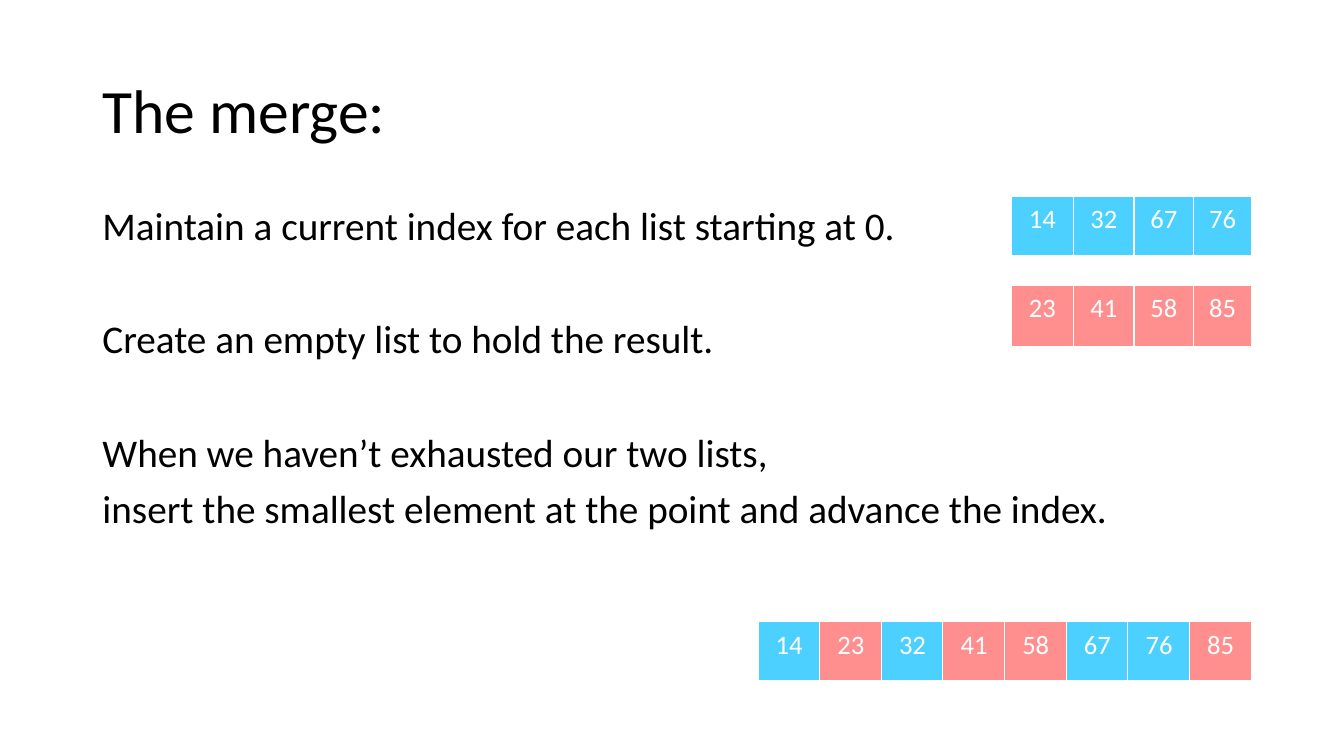
import pptx
import pptx.dml.color
import pptx.enum.text
import pptx.oxml
import pptx.oxml.ns
import pptx.util

FONT = "Calibri"
BLACK = "000000"
WHITE = "FFFFFF"
BLUE = "4BD0FF"
RED = "FF8F8F"
LEFT_LIST = [14, 32, 67, 76]
RIGHT_LIST = [23, 41, 58, 85]
LIST_WIDTHS = [44.6, 43.2, 42.5, 41.5]
STEPS = [
    ("Maintain a current index for each list starting at 0.", 10),
    ("Create an empty list to hold the result.", 50.8),
    ("When we haven’t exhausted our two lists,", 50.8),
    ("insert the smallest element at the point and advance the index.", 10),
]


def color(value):
    return pptx.dml.color.RGBColor.from_string(value)


def place(shape, left, top, width, height):
    shape.left, shape.top = pptx.util.Pt(left), pptx.util.Pt(top)
    shape.width, shape.height = pptx.util.Pt(width), pptx.util.Pt(height)


def add_run(paragraph, text, size, text_color):
    run = paragraph.add_run()
    run.text = text
    run.font.name = FONT
    run.font.size = pptx.util.Pt(size)
    run.font.color.rgb = color(text_color)


def fill_title(slide, left, top, width, height):
    title = slide.shapes.title
    place(title, left, top, width, height)
    frame = title.text_frame
    frame.auto_size = pptx.enum.text.MSO_AUTO_SIZE.NONE
    frame.vertical_anchor = pptx.enum.text.MSO_ANCHOR.MIDDLE
    paragraph = frame.paragraphs[0]
    paragraph.alignment = pptx.enum.text.PP_ALIGN.LEFT
    paragraph.line_spacing = 0.9
    add_run(paragraph, "The merge:", 44, BLACK)


def fill_body(slide, left, top, width, height):
    body = slide.placeholders[1]
    place(body, left, top, width, height)
    frame = body.text_frame
    frame.auto_size = pptx.enum.text.MSO_AUTO_SIZE.NONE
    for index, (text, space_before) in enumerate(STEPS):
        paragraph = frame.add_paragraph() if index else frame.paragraphs[0]
        paragraph.line_spacing = 0.9
        paragraph.space_before = pptx.util.Pt(space_before)
        properties = paragraph._p.get_or_add_pPr()
        properties.set("marL", "0")
        properties.set("indent", "0")
        pptx.oxml.ns.qn("a:buNone")
        properties.append(pptx.oxml.parse_xml(
            f'<a:buNone {pptx.oxml.ns.nsdecls("a")}/>'))
        add_run(paragraph, text, 28, BLACK)


def add_borders(cell):
    properties = cell._tc.get_or_add_tcPr()
    for index, side in enumerate("LRTB"):
        properties.insert(index, pptx.oxml.parse_xml(
            f'<a:ln{side} {pptx.oxml.ns.nsdecls("a")} w="12700"><a:solidFill>'
            f'<a:srgbClr val="{WHITE}"/></a:solidFill></a:ln{side}>'))


def add_number_row(slide, left, top, widths, height, numbers, fill_color):
    shape = slide.shapes.add_table(
        1, len(numbers), pptx.util.Pt(left), pptx.util.Pt(top),
        pptx.util.Pt(sum(widths)), pptx.util.Pt(height))
    table = shape.table
    table.first_row = False
    table.horz_banding = False
    for index, (number, width) in enumerate(zip(numbers, widths)):
        table.columns[index].width = pptx.util.Pt(width)
        cell = table.cell(0, index)
        cell.margin_left = cell.margin_right = pptx.util.Pt(10)
        cell.margin_top = cell.margin_bottom = pptx.util.Pt(5)
        cell.fill.solid()
        cell.fill.fore_color.rgb = color(fill_color)
        add_borders(cell)
        paragraph = cell.text_frame.paragraphs[0]
        paragraph.alignment = pptx.enum.text.PP_ALIGN.CENTER
        add_run(paragraph, str(number), 19, WHITE)


def add_input_lists(slide, left, top):
    add_number_row(slide, left, top, LIST_WIDTHS, 42.2, LEFT_LIST, BLUE)
    add_number_row(slide, left, top + 63.4, LIST_WIDTHS, 43.9, RIGHT_LIST, RED)


def add_merged_list(slide, left, top, width, height):
    merged = sorted(LEFT_LIST + RIGHT_LIST)
    cell_width = 44.6
    step = (width - cell_width) / (len(merged) - 1)
    for index, number in enumerate(merged):
        fill_color = BLUE if number in LEFT_LIST else RED
        add_number_row(slide, left + index * step, top, [cell_width], height,
                       [number], fill_color)


def build_merge_slide(presentation):
    slide = presentation.slides.add_slide(presentation.slide_layouts[1])
    fill_title(slide, 66, 28.8, 828, 104.4)
    fill_body(slide, 66, 144, 828, 342.7)
    add_input_lists(slide, 722.2, 140.4)
    add_merged_list(slide, 541.4, 444.2, 352.8, 42.2)


def main():
    presentation = pptx.Presentation()
    presentation.slide_width = pptx.util.Pt(960)
    presentation.slide_height = pptx.util.Pt(540)
    build_merge_slide(presentation)
    presentation.save("out.pptx")


if __name__ == "__main__":
    main()
